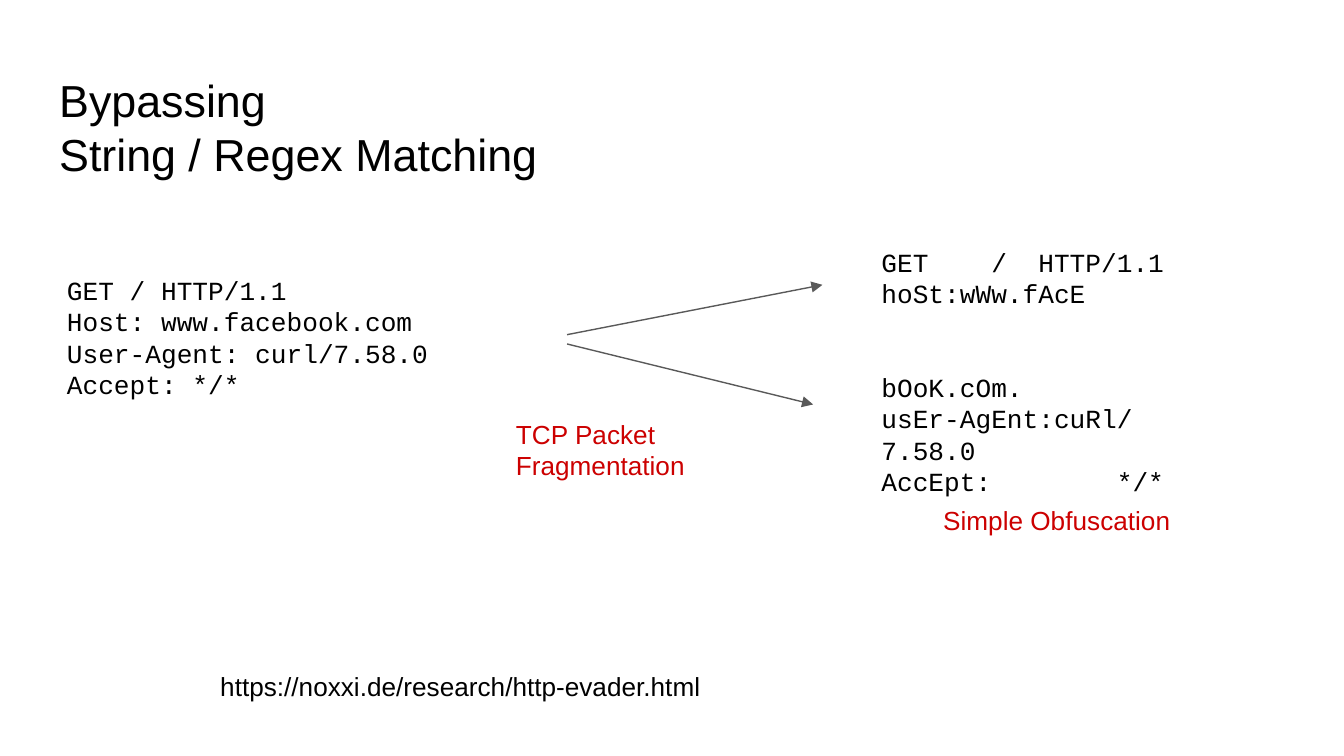
import dataclasses

import pptx
import pptx.dml.color
import pptx.enum.shapes
import pptx.enum.text
import pptx.oxml
import pptx.oxml.ns
import pptx.util

Pt = pptx.util.Pt
RGB = pptx.dml.color.RGBColor.from_string


@dataclasses.dataclass(frozen=True)
class Theme:
    ink: str = "000000"
    accent: str = "CC0000"
    arrow: str = "595959"
    background: str = "FFFFFF"
    sans: str = "Arial"
    mono: str = "Courier New"
    title_size: float = 24
    body_size: float = 14
    arrow_width: float = 0.75
    inset: float = 7.2
    leading: float = 1.2


THEME = Theme()

REQUEST = [
    "GET / HTTP/1.1",
    "Host: www.facebook.com",
    "User-Agent: curl/7.58.0",
    "Accept: */*",
]
FIRST_FRAGMENT = ["GET    /  HTTP/1.1", "hoSt:wWw.fAcE"]
SECOND_FRAGMENT = ["bOoK.cOm.", "usEr-AgEnt:cuRl/7.58.0", "AccEpt:        */*"]


def apply(target, values):
    for name, value in values.items():
        setattr(target, name, value)


def place(shape, left, top, width, height):
    apply(shape, {"left": Pt(left), "top": Pt(top), "width": Pt(width), "height": Pt(height)})


def write_lines(box, lines, font, size, colour, anchor=pptx.enum.text.MSO_ANCHOR.TOP):
    frame = box.text_frame
    margins = dict.fromkeys(
        ["margin_left", "margin_top", "margin_right", "margin_bottom"], Pt(THEME.inset)
    )
    apply(frame, {
        **margins,
        "word_wrap": True,
        "auto_size": pptx.enum.text.MSO_AUTO_SIZE.NONE,
        "vertical_anchor": anchor,
    })
    frame.text = "\n".join(lines)
    for para in frame.paragraphs:
        apply(para, {
            "alignment": pptx.enum.text.PP_ALIGN.LEFT,
            "line_spacing": Pt(size * THEME.leading),
            "space_before": Pt(0),
        })
        for span in para.runs:
            apply(span.font, {"name": font, "size": Pt(size)})
            span.font.color.rgb = RGB(colour)


def add_title(page, lines, bounds):
    title = page.shapes.title
    place(title, *bounds)
    write_lines(title, lines, THEME.sans, THEME.title_size, THEME.ink,
                pptx.enum.text.MSO_ANCHOR.BOTTOM)


def add_text(page, lines, bounds, font=THEME.sans, colour=THEME.ink):
    box = page.shapes.add_textbox(*map(Pt, bounds))
    write_lines(box, lines, font, THEME.body_size, colour)
    return box


def add_fragments(page, first, second, bounds):
    box = add_text(page, first + second, bounds, THEME.mono)
    gap = 2 * THEME.body_size * THEME.leading
    box.text_frame.paragraphs[len(first)].space_before = Pt(gap)


def add_arrow(page, start, end):
    arrow = page.shapes.add_connector(
        pptx.enum.shapes.MSO_CONNECTOR.STRAIGHT, *map(Pt, start + end)
    )
    arrow.line.color.rgb = RGB(THEME.arrow)
    arrow.line.width = Pt(THEME.arrow_width)
    head = pptx.oxml.parse_xml(
        f'<a:tailEnd {pptx.oxml.ns.nsdecls("a")} type="triangle" w="med" len="med"/>'
    )
    arrow.line._get_or_add_ln().append(head)
    effects = pptx.oxml.parse_xml(f'<a:effectLst {pptx.oxml.ns.nsdecls("a")}/>')
    arrow._element.spPr.append(effects)


def main():
    deck = pptx.Presentation()
    apply(deck, {"slide_width": Pt(720), "slide_height": Pt(405)})
    page = deck.slides.add_slide(deck.slide_layouts[5])
    page.background.fill.solid()
    page.background.fill.fore_color.rgb = RGB(THEME.background)

    add_title(page, ["Bypassing", "String / Regex Matching"], (24.5, 43.9, 377.3, 59.8))
    add_text(page, REQUEST, (28.8, 139.7, 261.4, 156.2), THEME.mono)
    add_fragments(page, FIRST_FRAGMENT, SECOND_FRAGMENT, (465.1, 124.6, 188.6, 156.2))
    add_arrow(page, (303.8, 179.3), (440.6, 152.6))
    add_arrow(page, (303.8, 184.3), (435.6, 216.7))
    add_text(page, ["TCP Packet", "Fragmentation"], (269.3, 216.7, 152.6, 55.4),
             colour=THEME.accent)
    add_text(page, ["Simple Obfuscation"], (498.2, 262.8, 152.6, 55.4), colour=THEME.accent)
    add_text(page, ["https://noxxi.de/research/http-evader.html"], (110.9, 352.1, 452.2, 55.4))
    deck.save("out.pptx")


if __name__ == "__main__":
    main()
